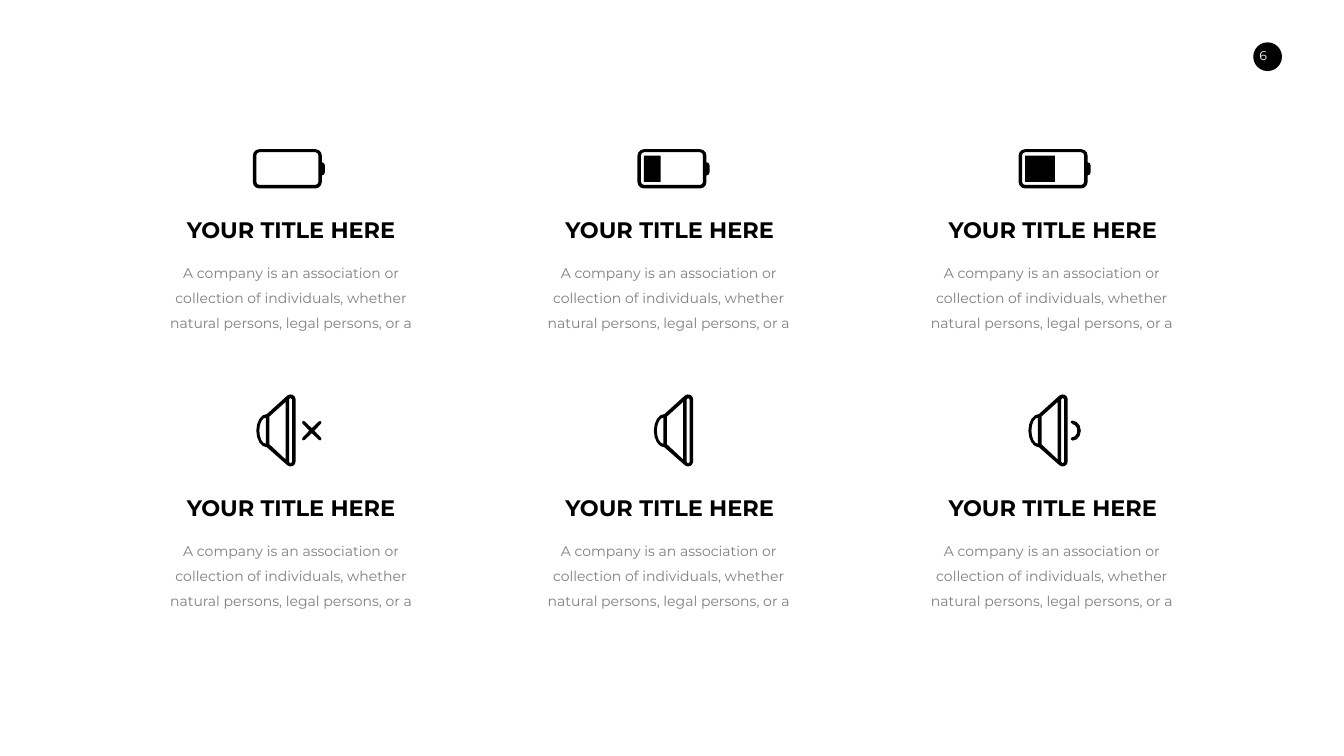
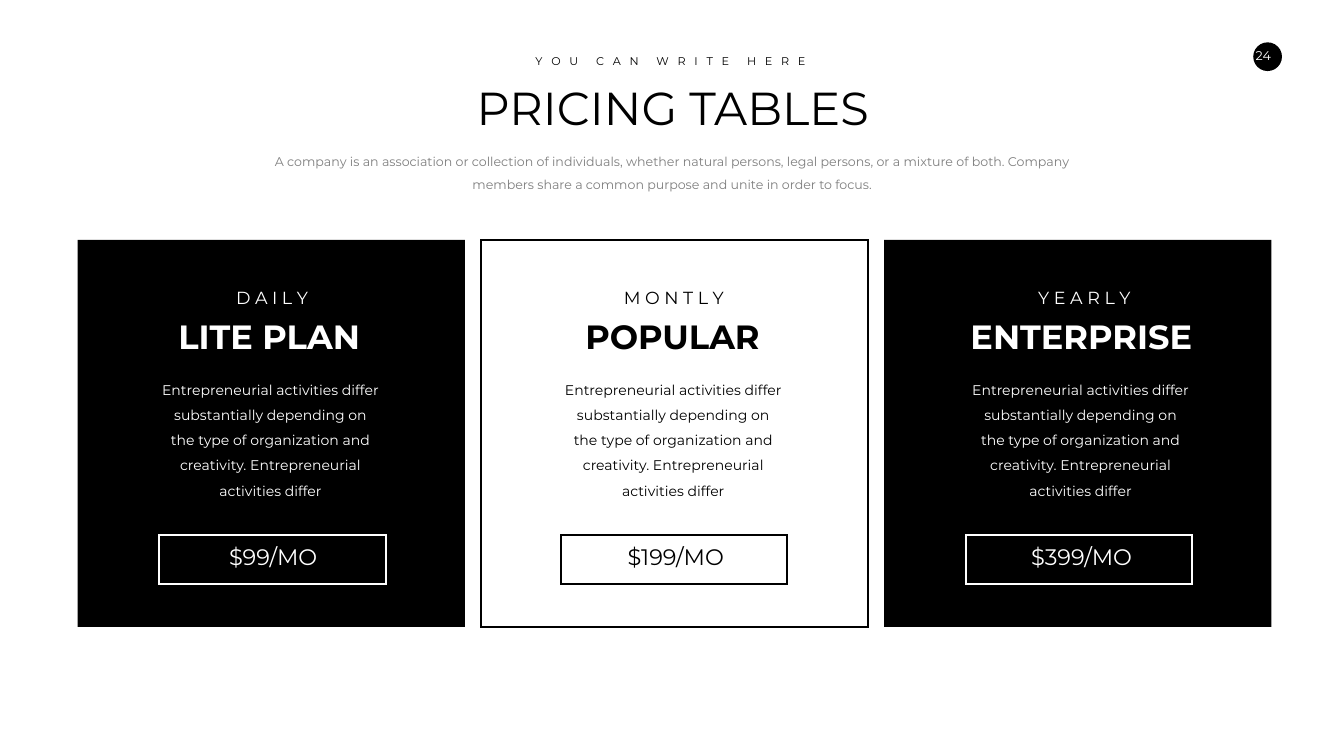
from math import cos, radians, sin

from lxml import etree
from pptx import Presentation
from pptx import util as u
from pptx.dml.color import RGBColor
from pptx.enum import shapes, text
from pptx.oxml.ns import qn

BLACK = RGBColor(0x00, 0x00, 0x00)
WHITE = RGBColor(0xFF, 0xFF, 0xFF)
GREY = RGBColor(0x7F, 0x7F, 0x7F)
FONT = "Montserrat"
WIDTH, HEIGHT = 26.66, 15

FEATURE_LEFTS = ((3.01, 3.15), (10.52, 10.64), (18.12, 18.24))
ICON_CENTERS = (5.73, 13.36, 20.92)
FEATURE_ROW = 5.52
FEATURE_TITLE = "YOUR TITLE HERE"
FEATURE_BODY = ("A company is an association or collection of individuals, "
                "whether natural persons, legal persons, or a")

CARD_LEFT, CARD_TOP, CARD_SIZE, CARD_PITCH = 1.54, 4.76, 7.68, 8
PLAN_BODY = ("Entrepreneurial activities differ substantially depending on the type "
             "of organization and creativity. Entrepreneurial activities differ")
PLANS = (
    {"period": ("D A I L Y", 4.57, 1.65), "name": ("LITE PLAN", 3.37, 3.94),
     "price": ("$99/MO", 4.05, 2.74), "body": 3.09, "button": 3.16},
    {"period": ("M O N T L Y", 12.27, 2.19), "name": ("POPULAR", 11.45, 3.78),
     "price": ("$199/MO", 11.74, 3.33), "body": 11.08, "button": 11.13},
    {"period": ("Y E A R L Y", 20.48, 2.06), "name": ("ENTERPRISE", 19.01, 4.88),
     "price": ("$399/MO", 19.97, 2.97), "body": 19.16, "button": 19.16},
)


def write(box, words, size, color=BLACK, bold=False, spacing=None,
          insets=(0.1, 0.05, 0.1, 0.05)):
    frame = box.text_frame
    frame.word_wrap = True
    frame.auto_size = text.MSO_AUTO_SIZE.NONE
    frame.vertical_anchor = text.MSO_ANCHOR.TOP
    (frame.margin_left, frame.margin_top,
     frame.margin_right, frame.margin_bottom) = map(u.Inches, insets)
    para = frame.paragraphs[0]
    para.add_run().text = words
    para.alignment = text.PP_ALIGN.CENTER
    para.space_before = u.Pt(0)
    if spacing:
        para.line_spacing = spacing
    para.font.name = FONT
    para.font.size = u.Pt(size)
    para.font.bold = bold
    para.font.color.rgb = color
    return para


def add_text(page, left, top, width, height, words, size, **style):
    box = page.shapes.add_textbox(*map(u.Inches, (left, top, width, height)))
    return write(box, words, size, **style)


def track(span, points):
    span.font._element.set("spc", str(round(points * 100)))


def add_tracked_words(para, words):
    track(para.runs[0], 4.2)
    for word in words:
        for part, points in ((" ", 16.8), (word, 4.2)):
            span = para.add_run()
            span.text = part
            track(span, points)


def paint(shape, fill=None, line=None):
    shape.shadow.inherit = False
    if fill is None:
        shape.fill.background()
    else:
        shape.fill.solid()
        shape.fill.fore_color.rgb = fill
    if line is None:
        shape.line.fill.background()
    else:
        shape.line.color.rgb = line
        shape.line.width = u.Pt(3)
        outline = shape._element.spPr.find(qn("a:ln"))
        etree.SubElement(outline, qn("a:miter")).set("lim", "800000")


def add_block(page, kind, left, top, width, height, fill=None, line=None):
    shape = page.shapes.add_shape(kind, *map(u.Inches, (left, top, width, height)))
    paint(shape, fill, line)


def add_page_number(page, number):
    add_block(page, shapes.MSO_SHAPE.OVAL, 24.86, 0.84, 0.57, 0.57, fill=BLACK)
    add_text(page, 24.7, 0.85, 0.86, 0.5, str(number), 18, color=WHITE,
             insets=(0.13, 0.1, 0.27, 0.1))


def arc(x, y, rx, ry, start, end, steps=3):
    angles = [radians(start + (end - start) * step / steps) for step in range(steps + 1)]
    return [(x + rx * cos(angle), y + ry * sin(angle)) for angle in angles]


def rounded(left, top, right, bottom, radius, steps=3):
    corners = ((right - radius, top + radius, -90), (right - radius, bottom - radius, 0),
               (left + radius, bottom - radius, 90), (left + radius, top + radius, 180))
    return [point for x, y, start in corners
            for point in arc(x, y, radius, radius, start, start + 90, steps)]


def battery(charge):
    outlines = [
        rounded(0, 0, 1.37, 0.78, 0.13),
        rounded(0.07, 0.06, 1.3, 0.71, 0.06, 2),
        [(1.37, 0.26)] + arc(1.37, 0.32, 0.06, 0.06, -90, 0, 2)
        + arc(1.37, 0.46, 0.06, 0.06, 0, 90, 2),
    ]
    if charge:
        right = 0.13 + charge
        outlines.append([(0.13, 0.13), (right, 0.13), (right, 0.65), (0.13, 0.65)])
    return outlines


def speaker():
    return [
        arc(0.68, 0.1, 0.1, 0.1, 0, -130, 4) + arc(0.21, 0.72, 0.21, 0.33, 270, 90, 8)
        + arc(0.68, 1.33, 0.1, 0.1, 130, 0, 4),
        rounded(0.65, 0.07, 0.71, 1.37, 0.03, 1),
        [(0.58, 1.29), (0.26, 0.99), (0.26, 0.44), (0.58, 0.15)],
        arc(0.19, 0.72, 0.13, 0.26, 270, 90, 8),
    ]


def mute_cross():
    x, y = 1.1, 0.72
    outline = []
    for angle in range(45, 405, 90):
        tip, inner = radians(angle), radians(angle + 45)
        outline += arc(x + 0.23 * cos(tip), y + 0.23 * sin(tip), 0.03, 0.03,
                       angle - 90, angle + 90)
        outline.append((x + 0.05 * cos(inner), y + 0.05 * sin(inner)))
    return outline


def sound_wave():
    return (arc(0.87, 0.72, 0.17, 0.2, -90, 90, 6) + arc(0.87, 0.88, 0.03, 0.03, 90, 270)
            + arc(0.87, 0.72, 0.1, 0.13, 90, -90, 6) + arc(0.87, 0.55, 0.03, 0.03, 90, 270))


def add_icon(page, center, middle, outlines):
    points = [point for outline in outlines for point in outline]
    left = center - max(x for x, y in points) / 2
    top = middle - max(y for x, y in points) / 2
    builder = None
    for outline in outlines:
        placed = [(u.Inches(left + x), u.Inches(top + y)) for x, y in outline]
        if builder is None:
            builder = page.shapes.build_freeform(*placed[0])
        else:
            builder.move_to(*placed[0])
        builder.add_line_segments(placed[1:], close=True)
    paint(builder.convert_to_shape(), fill=BLACK)


def add_feature(page, lefts, row):
    title_left, body_left = lefts
    shift = row * FEATURE_ROW
    add_text(page, body_left, 5.03 + shift, 5.25, 1.54, FEATURE_BODY, 20,
             color=GREY, spacing=1.5)
    add_text(page, title_left, 4.23 + shift, 5.53, 0.64, FEATURE_TITLE, 32, bold=True)


def add_plan(page, plan, ink):
    add_block(page, shapes.MSO_SHAPE.RECTANGLE, plan["button"], 10.61, 4.49, 0.98, line=ink)
    for part, top, height, size in (("price", 10.73, 0.64, 32), ("name", 6.22, 0.91, 48),
                                    ("period", 5.64, 0.52, 25)):
        words, left, width = plan[part]
        add_text(page, left, top, width, height, words, size, color=ink, bold=part == "name")
    add_text(page, plan["body"], 7.35, 4.55, 2.55, PLAN_BODY, 20, color=ink, spacing=1.5)


def build_features(deck):
    page = deck.slides.add_slide(deck.slide_layouts[6])
    add_page_number(page, 6)
    for row in range(2):
        for lefts in FEATURE_LEFTS:
            add_feature(page, lefts, row)
    batteries = [battery(charge) for charge in (0, 0.33, 0.59)]
    speakers = [speaker() + extra for extra in ([mute_cross()], [], [sound_wave()])]
    for middle, icons in ((3.35, batteries), (8.54, speakers)):
        for center, outlines in zip(ICON_CENTERS, icons):
            add_icon(page, center, middle, outlines)


def build_pricing(deck):
    page = deck.slides.add_slide(deck.slide_layouts[5])
    add_page_number(page, 24)
    for column, plan in enumerate(PLANS):
        dark = column != 1
        add_block(page, shapes.MSO_SHAPE.RECTANGLE, CARD_LEFT + column * CARD_PITCH, CARD_TOP,
                  CARD_SIZE, CARD_SIZE, fill=BLACK if dark else None,
                  line=None if dark else BLACK)
        add_plan(page, plan, WHITE if dark else BLACK)
    title = page.shapes.title
    title.left, title.top, title.width, title.height = map(u.Inches, (8.8, 1.52, 9.09, 1.21))
    write(title, "PRICING TABLES", 66)
    kicker = add_text(page, 10.41, 1.02, 5.78, 0.37, "Y O U", 16)
    add_tracked_words(kicker, ("C A N", "W R I T E", "H E R E"))
    add_text(page, 5.32, 2.86, 16.03, 1.01,
             "A company is an association or collection of individuals, whether natural "
             "persons, legal persons, or a mixture of both. Company members share a common "
             "purpose and unite in order to focus.", 18, color=GREY, spacing=1.5)


def main():
    deck = Presentation()
    deck.slide_width, deck.slide_height = u.Inches(WIDTH), u.Inches(HEIGHT)
    build_features(deck)
    build_pricing(deck)
    deck.save("out.pptx")


if __name__ == "__main__":
    main()
